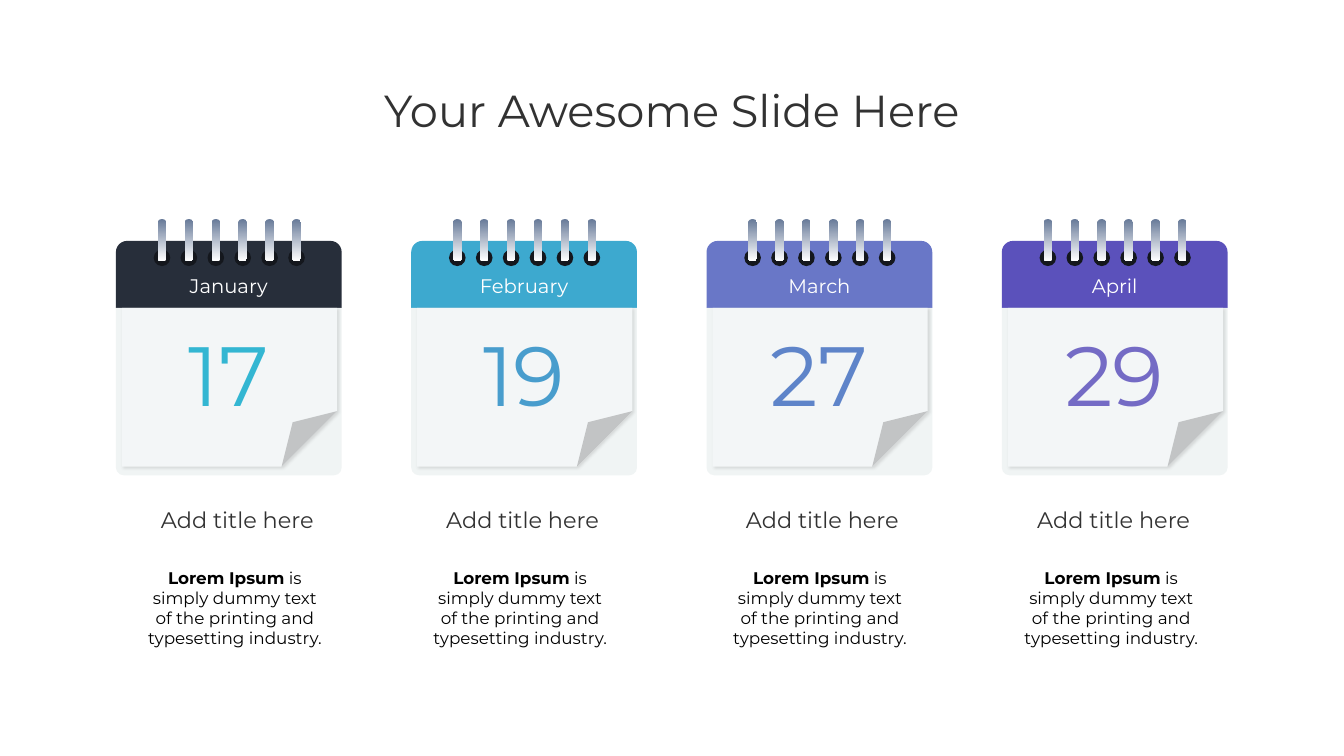
import pptx
import pptx.dml.color
import pptx.enum.shapes
import pptx.enum.text
import pptx.oxml.ns
import pptx.util
from lxml import etree

Inches = pptx.util.Inches
qn = pptx.oxml.ns.qn
SHAPE = pptx.enum.shapes.MSO_SHAPE
ALIGN = pptx.enum.text.PP_ALIGN
MIDDLE = pptx.enum.text.MSO_ANCHOR.MIDDLE

SLIDE_W, SLIDE_H = 26.67, 15
MARGIN, PITCH = 2.3, 5.86          # first calendar, and the step to the next
CARD_W = 4.48
HEADER_TOP, PAGE_TOP = 4.78, 6.11
RING_COUNT, RING_STEP = 6, 0.534
HOLE, PEG_W, PEG_H = 0.33, 0.17, 0.83
SHADOW = (
    '<a:effectLst xmlns:a="http://schemas.openxmlformats.org/drawingml/2006/main">'
    '<a:outerShdw blurRad="50800" dist="38100" dir="2700000" algn="tl" rotWithShape="0">'
    '<a:srgbClr val="404040"><a:alpha val="15000"/></a:srgbClr>'
    '</a:outerShdw></a:effectLst>'
)

# month, day, header colour, day colour, centre of the caption
calendars = [
    ("January", "17", "272E3A", "33B6D2", 4.71),
    ("February", "19", "3DA9CF", "489DCD", 10.37),
    ("March", "27", "6977C7", "5E84C9", 16.32),
    ("April", "29", "5B51BB", "746BC5", 22.1),
]


def rgb(value):
    return pptx.dml.color.RGBColor.from_string(value)


def draw(shapes, kind, box, color, adjustments=()):
    """Add a borderless preset shape; box is left, top, width, height in inches."""
    shape = shapes.add_shape(kind, *map(Inches, box))
    shape.shadow.inherit = False
    shape.line.fill.background()
    shape.fill.solid()
    shape.fill.fore_color.rgb = rgb(color)
    for index, value in enumerate(adjustments):
        shape.adjustments[index] = value
    return shape


deck = pptx.Presentation()
deck.slide_width, deck.slide_height = Inches(SLIDE_W), Inches(SLIDE_H)
slide = deck.slides.add_slide(deck.slide_layouts[5])

heading = slide.shapes.title
heading.left, heading.top = Inches(1.83), Inches(0.8)
heading.width, heading.height = Inches(23), Inches(2.9)
heading.text_frame.vertical_anchor = MIDDLE
paragraph = heading.text_frame.paragraphs[0]
paragraph.alignment = ALIGN.CENTER
paragraph.line_spacing = 0.9
run = paragraph.add_run()
run.text = "Your Awesome Slide Here"
run.font.name, run.font.size = "Montserrat", pptx.util.Pt(64)
run.font.color.rgb = rgb("323232")

for column, (month, day, header_color, day_color, caption_center) in enumerate(calendars):
    left = MARGIN + column * PITCH
    center = left + CARD_W / 2

    draw(slide.shapes, SHAPE.ROUND_2_SAME_RECTANGLE,
         (left, HEADER_TOP, CARD_W, PAGE_TOP - HEADER_TOP), header_color)
    backing = draw(slide.shapes, SHAPE.ROUND_2_SAME_RECTANGLE,
                   (left, PAGE_TOP, CARD_W, 3.32), "F0F4F4", (0.046, 0))
    backing.rotation = 180
    page = draw(slide.shapes, SHAPE.FOLDED_CORNER,
                (left + 0.12, PAGE_TOP, 4.27, 3.15), "F3F6F7")
    properties = page.element.spPr
    # python-pptx offers no adjustment for the size of the fold
    fold = properties.find(qn("a:prstGeom")).find(qn("a:avLst"))
    etree.SubElement(fold, qn("a:gd"), name="adj", fmla="val 35000")
    properties.replace(properties.find(qn("a:effectLst")), etree.fromstring(SHADOW))

    binding = slide.shapes.add_group_shape()
    for ring in range(RING_COUNT):
        hole_left = left + 0.75 + ring * RING_STEP
        draw(binding.shapes, SHAPE.OVAL, (hole_left, 4.95, HOLE, HOLE), "14171D")
        peg = draw(binding.shapes, SHAPE.ROUNDED_RECTANGLE,
                   (hole_left + (HOLE - PEG_W) / 2, 4.35, PEG_W, PEG_H), "FFFFFF", (0.385,))
        peg.fill.gradient()
        peg.fill.gradient_angle = 270
        for stop, position, color in zip(peg.fill.gradient_stops, (0.02, 1), ("6B7D9B", "FFFFFF")):
            stop.position = position
            stop.color.rgb = rgb(color)

    # centre, top, width, height, inset, wrap, size, colour, runs of (text, bold)
    labels = [
        (center, 5.44, 1.78, 0.47, 0, False, 28, "FFFFFF", [(month, False)]),
        (center, 6.38, 2.03, 2.02, 0, False, 120, day_color, [(day, False)]),
        (caption_center, 10, 3.28, 0.64, 0.1, False, 32, "323232", [("Add title here", False)]),
        (caption_center - 0.05, 11.21, 3.73, 1.72, 0.1, True, 24, "000000",
         [("Lorem Ipsum", True),
          (" is simply dummy text of the printing and typesetting industry.", False)]),
    ]
    for middle, top, width, height, inset, wrap, size, color, runs in labels:
        label = slide.shapes.add_textbox(
            *map(Inches, (middle - width / 2, top, width, height)))
        frame = label.text_frame
        frame.word_wrap = wrap
        frame.margin_left = frame.margin_right = Inches(inset)
        frame.margin_top = frame.margin_bottom = Inches(inset / 2)
        if not inset:
            frame.vertical_anchor = MIDDLE
        paragraph = frame.paragraphs[0]
        paragraph.alignment = ALIGN.CENTER
        for text, bold in runs:
            run = paragraph.add_run()
            run.text = text
            run.font.name, run.font.size = "Montserrat", pptx.util.Pt(size)
            run.font.bold = bold
            run.font.color.rgb = rgb(color)

deck.save("out.pptx")
